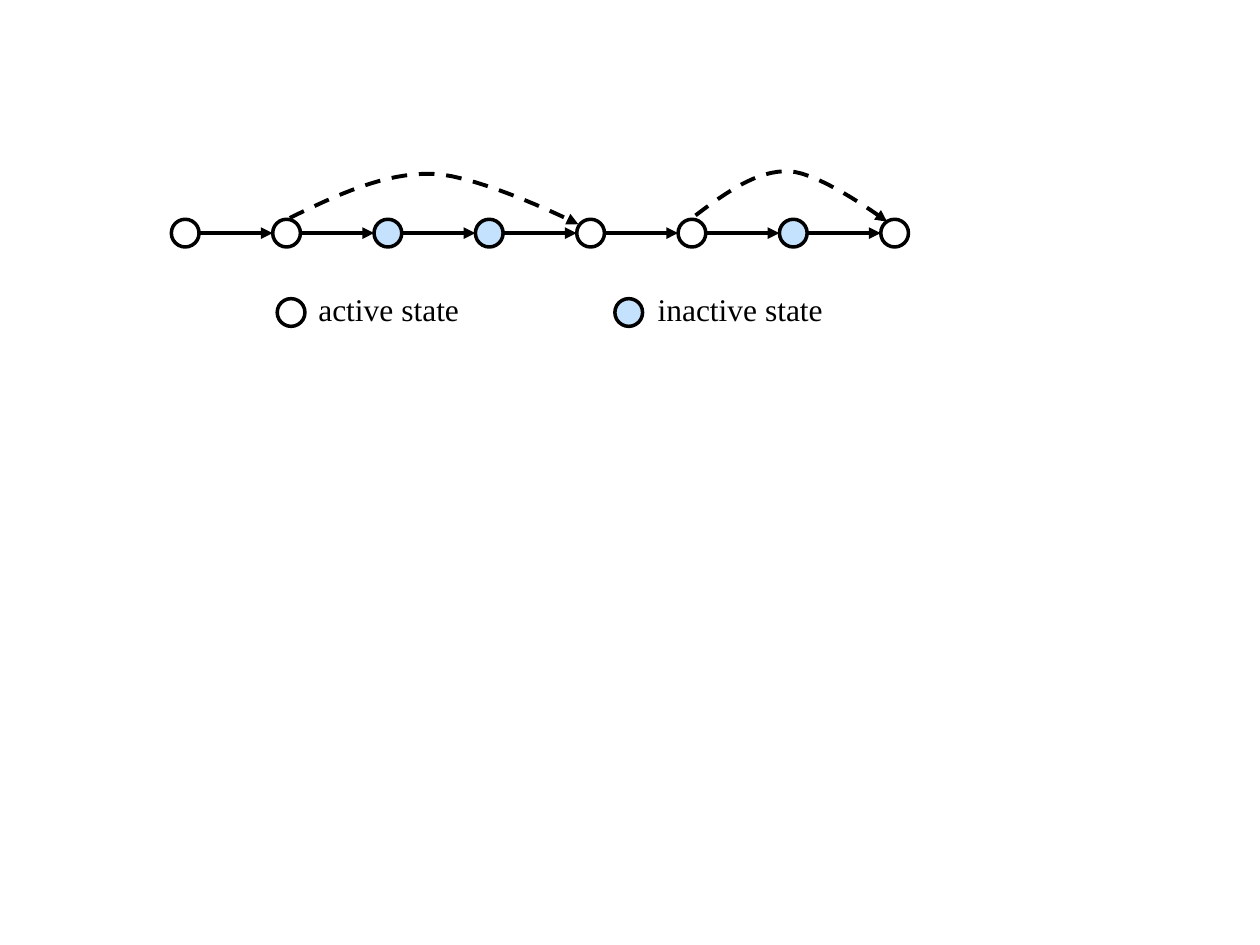
from lxml import etree
from pptx import Presentation
from pptx.dml.color import RGBColor
from pptx.enum.dml import MSO_LINE
from pptx.enum.shapes import MSO_CONNECTOR, MSO_SHAPE
from pptx.enum.text import MSO_AUTO_SIZE, PP_ALIGN
from pptx.oxml.ns import qn
from pptx.util import Inches, Pt

BLACK = RGBColor(0x00, 0x00, 0x00)
ACTIVE = RGBColor(0xFF, 0xFF, 0xFF)
INACTIVE = RGBColor(0xC4, 0xE2, 0xFD)
OVAL = MSO_SHAPE.OVAL
STRAIGHT = MSO_CONNECTOR.STRAIGHT
DASH = MSO_LINE.DASH
CENTER = PP_ALIGN.CENTER
GROW = MSO_AUTO_SIZE.SHAPE_TO_FIT_TEXT

DIAMETER = 0.22
CHAIN_TOP = 1.74
CHAIN_LEFT, CHAIN_LAST = 1.36, 6.99
STATES = [ACTIVE, ACTIVE, INACTIVE, INACTIVE, ACTIVE, ACTIVE, INACTIVE, ACTIVE]
PITCH = (CHAIN_LAST - CHAIN_LEFT) / (len(STATES) - 1)
LEGEND_TOP, LABEL_TOP = 2.37, 2.25
LEGEND = [
    (2.2, ACTIVE, "active state", 2.38, 1.41),
    (4.88, INACTIVE, "inactive state", 5.05, 1.65),
]
SKIPS = [
    [(2.3, 1.73), (2.67, 1.55), (3.05, 1.37), (3.43, 1.38),
     (3.81, 1.39), (4.59, 1.78), (4.59, 1.78)],
    [(5.52, 1.71), (5.76, 1.53), (6.01, 1.35), (6.26, 1.36),
     (6.52, 1.37), (7.04, 1.76), (7.04, 1.76)],
]


def bezier(controls, steps=16):
    """Return points along one cubic curve, without its start."""
    points = []
    for step in range(1, steps + 1):
        t = step / steps
        weights = ((1 - t) ** 3, 3 * t * (1 - t) ** 2, 3 * t ** 2 * (1 - t), t ** 3)
        points.append(tuple(
            Inches(sum(w * c for w, c in zip(weights, axis)))
            for axis in zip(*controls)))
    return points


class StateDiagram:
    """Draws states, transitions and labels on one slide."""

    font_name = "Times New Roman"
    font_size = Pt(18)
    state_line = Pt(2)
    arrow_line = Pt(2.25)

    def __init__(self, slide):
        self.shapes = slide.shapes

    def state(self, left, top, color):
        circle = self.shapes.add_shape(
            OVAL, Inches(left), Inches(top), Inches(DIAMETER), Inches(DIAMETER))
        circle.shadow.inherit = False
        circle.fill.solid()
        circle.fill.fore_color.rgb = color
        circle.line.color.rgb = BLACK
        circle.line.width = self.state_line

    def style_arrow(self, line):
        line.color.rgb = BLACK
        line.width = self.arrow_line
        etree.SubElement(line._get_or_add_ln(), qn("a:tailEnd"), type="triangle")

    def transition(self, start, end, y):
        arrow = self.shapes.add_connector(
            STRAIGHT, Inches(start), Inches(y), Inches(end), Inches(y))
        self.style_arrow(arrow.line)
        etree.SubElement(arrow._element.spPr, qn("a:effectLst"))

    def skip(self, controls):
        x, y = controls[0]
        builder = self.shapes.build_freeform(Inches(x), Inches(y))
        builder.add_line_segments(
            bezier(controls[:4]) + bezier(controls[3:]), close=False)
        arc = builder.convert_to_shape()
        arc.shadow.inherit = False
        arc.fill.background()
        arc.line.dash_style = DASH
        self.style_arrow(arc.line)

    def label(self, text, left, top, width):
        box = self.shapes.add_textbox(
            Inches(left), Inches(top), Inches(width), Inches(0.4))
        frame = box.text_frame
        frame.word_wrap = True
        frame.auto_size = GROW
        paragraph = frame.paragraphs[0]
        paragraph.text = text
        paragraph.alignment = CENTER
        paragraph.font.name = self.font_name
        paragraph.font.size = self.font_size
        paragraph.font.color.rgb = BLACK


presentation = Presentation()
presentation.slide_width = Inches(10)
presentation.slide_height = Inches(7.5)
diagram = StateDiagram(presentation.slides.add_slide(presentation.slide_layouts[6]))

lefts = [CHAIN_LEFT + PITCH * index for index in range(len(STATES))]
for left, color in zip(lefts, STATES):
    diagram.state(left, CHAIN_TOP, color)
for left, next_left in zip(lefts, lefts[1:]):
    diagram.transition(left + DIAMETER, next_left, CHAIN_TOP + DIAMETER / 2)
for controls in SKIPS:
    diagram.skip(controls)
for key_left, color, text, label_left, width in LEGEND:
    diagram.state(key_left, LEGEND_TOP, color)
    diagram.label(text, label_left, LABEL_TOP, width)

presentation.save("out.pptx")
